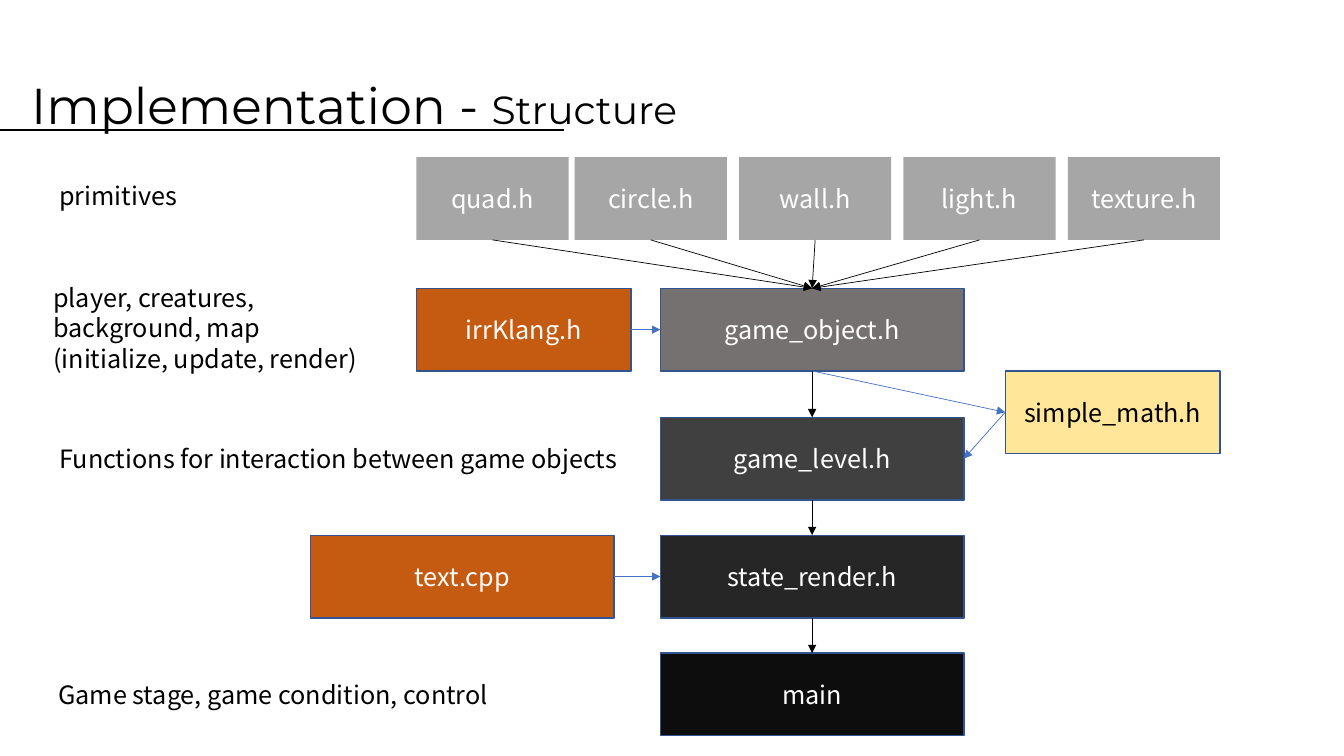
import pptx
import pptx.util
import pptx.dml.color
import pptx.enum.shapes
import pptx.enum.text
import pptx.oxml
import pptx.oxml.ns
from lxml import etree

RGB = pptx.dml.color.RGBColor
WHITE = RGB(0xFF, 0xFF, 0xFF)
BLACK = RGB(0, 0, 0)
SILVER = RGB(0xA6, 0xA6, 0xA6)
GRAY = RGB(0x76, 0x71, 0x71)
CHARCOAL = RGB(0x40, 0x40, 0x40)
COAL = RGB(0x26, 0x26, 0x26)
INK = RGB(0x0D, 0x0D, 0x0D)
ORANGE = RGB(0xC5, 0x5A, 0x11)
YELLOW = RGB(0xFF, 0xE6, 0x99)
NAVY = RGB(0x32, 0x54, 0x91)
BLUE = RGB(0x44, 0x72, 0xC4)

BODY_FONT = "Noto Sans CJK KR"
TITLE_FONT = "Montserrat"
PX = 9144  # 100 px to the inch
BOX_H = 82
TOP, LEFT, BOTTOM, RIGHT = range(4)


def px(*values):
    return [pptx.util.Emu(v * PX) for v in values]


def add_run(p, text, size=18, font=BODY_FONT, color=BLACK):
    r = p.add_run()
    r.text = text
    r.font.size = pptx.util.Pt(size)
    r.font.name = font
    r.font.color.rgb = color
    ea = etree.SubElement(r.font._element, pptx.oxml.ns.qn("a:ea"))
    ea.set("typeface", font)


def add_text_box(s, x, y, w, h):
    tf = s.shapes.add_textbox(*px(x, y, w, h)).text_frame
    tf.word_wrap = True
    tf.vertical_anchor = pptx.enum.text.MSO_ANCHOR.MIDDLE
    return tf


def add_title(s):
    p = add_text_box(s, 21, 35, 1150, 145).paragraphs[0]
    p.line_spacing = 0.9
    add_run(p, "Implementation - ", size=36, font=TITLE_FONT)
    add_run(p, "Structure", size=28, font=TITLE_FONT)


def add_label(s, x, y, *lines):
    tf = add_text_box(s, x, y, 1284, 122)
    for i, line in enumerate(lines):
        p = tf.add_paragraph() if i else tf.paragraphs[0]
        if len(lines) > 1:
            p.line_spacing = pptx.util.Pt(22)
        add_run(p, line)


def add_box(s, text, x, y, w, fill, outline=NAVY, color=WHITE):
    sp = s.shapes.add_shape(pptx.enum.shapes.MSO_SHAPE.RECTANGLE, *px(x, y, w, BOX_H))
    sp.shadow.inherit = False
    sp.fill.solid()
    sp.fill.fore_color.rgb = fill
    if outline is None:
        sp.line.fill.background()
    else:
        sp.line.color.rgb = outline
        sp.line.width = pptx.util.Pt(1)
    tf = sp.text_frame
    tf.word_wrap = True
    tf.vertical_anchor = pptx.enum.text.MSO_ANCHOR.MIDDLE
    p = tf.paragraphs[0]
    p.alignment = pptx.enum.text.PP_ALIGN.CENTER
    add_run(p, text, color=color)
    return sp


def add_line(s, x1, y1, x2, y2, color=BLACK, width=1.5):
    line = s.shapes.add_connector(
        pptx.enum.shapes.MSO_CONNECTOR.STRAIGHT, *px(x1, y1, x2, y2))
    line.line.color.rgb = color
    line.line.width = pptx.util.Pt(width)
    etree.SubElement(line._element.spPr, pptx.oxml.ns.qn("a:effectLst"))
    return line


def add_arrow(s, start, start_side, end, end_side, color=BLACK):
    """Join the middles of two box sides, with the head at the end box."""
    arrow = add_line(s, 0, 0, 0, 0, color, 0.5)
    arrow.begin_connect(start, start_side)
    arrow.end_connect(end, end_side)
    tail = etree.SubElement(arrow.line._get_or_add_ln(), pptx.oxml.ns.qn("a:tailEnd"))
    tail.set("type", "triangle")


def main():
    prs = pptx.Presentation()
    prs.slide_width, prs.slide_height = px(1333, 750)
    s = prs.slides.add_slide(prs.slide_layouts[6])

    add_line(s, 0, 129, 559, 129)
    add_title(s)

    add_label(s, 49, 133, "primitives")
    add_label(s, 43, 264, "player, creatures,", "background, map",
              "(initialize, update, render)")
    add_label(s, 49, 394, "Functions for interaction between game objects")
    add_label(s, 48, 628, "Game stage, game condition, control")

    primitives = [add_box(s, "quad.h", 413, 156, 151, SILVER, outline=None)]
    for i, name in enumerate(["circle.h", "wall.h", "light.h", "texture.h"]):
        primitives.append(
            add_box(s, name, 570 + 163 * i, 156, 151, SILVER, outline=None))

    chain = [add_box(s, name, 655, y, 301, fill) for name, y, fill in [
        ("game_object.h", 286, GRAY),
        ("game_level.h", 414, CHARCOAL),
        ("state_render.h", 531, COAL),
        ("main", 648, INK),
    ]]
    game_object, game_level, state_render, _ = chain
    sound = add_box(s, "irrKlang.h", 413, 286, 213, ORANGE)
    text = add_box(s, "text.cpp", 308, 531, 301, ORANGE)
    simple_math = add_box(s, "simple_math.h", 997, 368, 213, YELLOW, color=BLACK)

    for primitive in primitives:
        add_arrow(s, primitive, BOTTOM, game_object, TOP)
    for upper, lower in zip(chain, chain[1:]):
        add_arrow(s, upper, BOTTOM, lower, TOP)
    add_arrow(s, sound, RIGHT, game_object, LEFT, BLUE)
    add_arrow(s, text, RIGHT, state_render, LEFT, BLUE)
    add_arrow(s, game_object, BOTTOM, simple_math, LEFT, BLUE)
    add_arrow(s, simple_math, LEFT, game_level, RIGHT, BLUE)

    prs.save("out.pptx")


if __name__ == "__main__":
    main()
